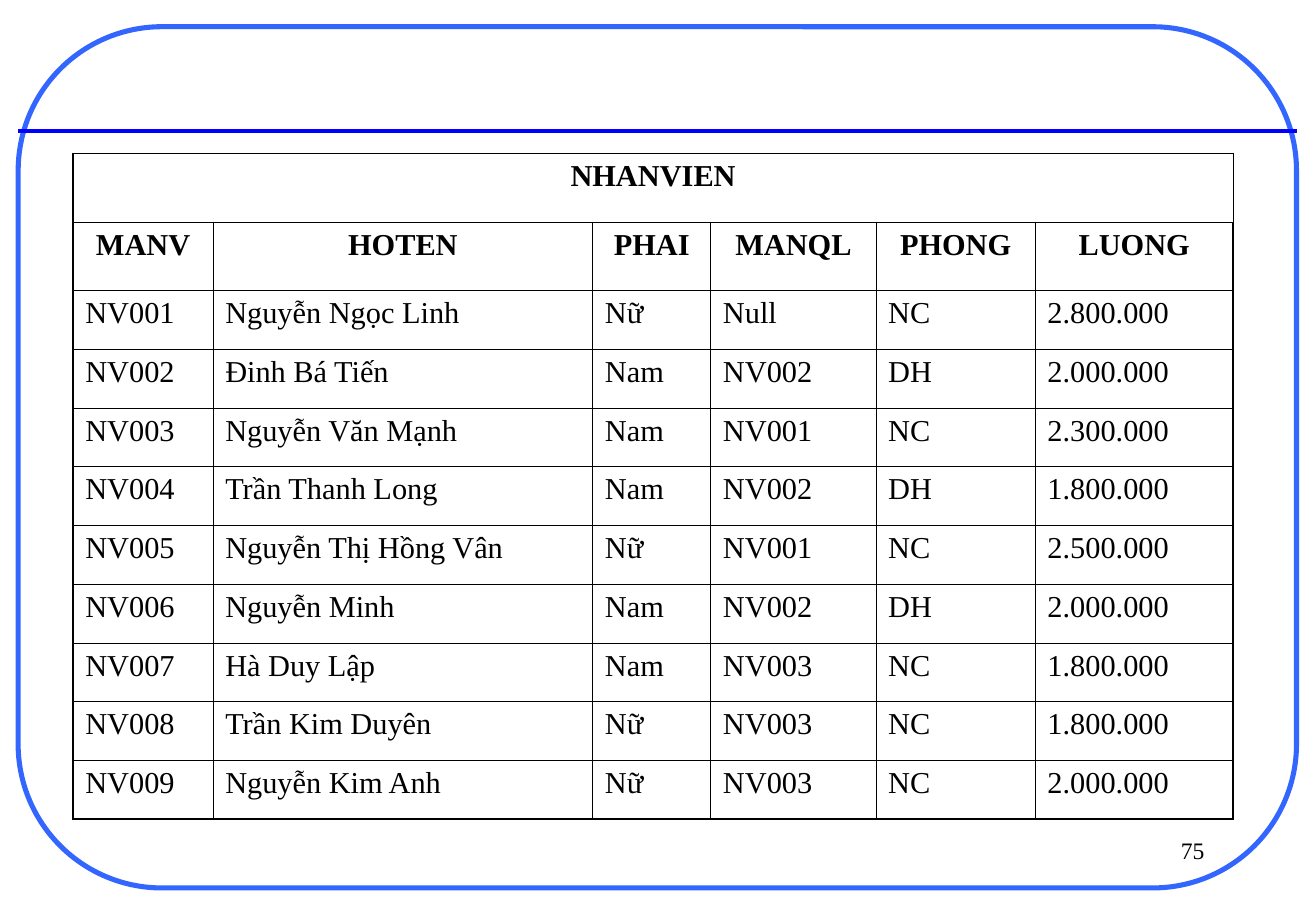
from dataclasses import dataclass

from lxml.etree import SubElement
from pptx import Presentation
from pptx.dml.color import RGBColor
from pptx.enum.shapes import MSO_CONNECTOR as Connector, MSO_SHAPE as Shape
from pptx.enum.text import MSO_ANCHOR as Anchor, PP_ALIGN as Align
from pptx.oxml.ns import qn
from pptx.util import Pt


@dataclass(frozen=True)
class Theme:
    font: str = "Times New Roman"
    text: str = "000000"
    frame: str = "3366FF"
    rule: str = "0000FF"
    table_size: float = 18
    number_size: float = 14
    outer_border: float = 1.08
    inner_border: float = 0.45


@dataclass(frozen=True)
class Box:
    left: float
    top: float
    width: float
    height: float

    def points(self):
        return [Pt(side) for side in (self.left, self.top, self.width, self.height)]


THEME = Theme()
SLIDE_WIDTH, SLIDE_HEIGHT = 780.48, 540
FRAME_BOX = Box(10.8, 15.84, 758.16, 510.48)
TABLE_BOX = Box(43.4, 90.9, 688, 394.85)
NUMBER_BOX = Box(558.72, 491.76, 162.72, 36)

TABLE_TITLE = "NHANVIEN"
COLUMN_WIDTHS = [83, 225.2, 70, 98, 94.5, 117.3]
HEADER_HEIGHT = 40.6
HEADERS = ["MANV", "HOTEN", "PHAI", "MANQL", "PHONG", "LUONG"]
EMPLOYEES = [
    ["NV001", "Nguyễn Ngọc Linh", "Nữ", "Null", "NC", "2.800.000"],
    ["NV002", "Đinh Bá Tiến", "Nam", "NV002", "DH", "2.000.000"],
    ["NV003", "Nguyễn Văn Mạnh", "Nam", "NV001", "NC", "2.300.000"],
    ["NV004", "Trần Thanh Long", "Nam", "NV002", "DH", "1.800.000"],
    ["NV005", "Nguyễn Thị Hồng Vân", "Nữ", "NV001", "NC", "2.500.000"],
    ["NV006", "Nguyễn Minh", "Nam", "NV002", "DH", "2.000.000"],
    ["NV007", "Hà Duy Lập", "Nam", "NV003", "NC", "1.800.000"],
    ["NV008", "Trần Kim Duyên", "Nữ", "NV003", "NC", "1.800.000"],
    ["NV009", "Nguyễn Kim Anh", "Nữ", "NV003", "NC", "2.000.000"],
]


def format_text(para, size, align, bold=False):
    para.alignment = align
    for span in para.runs:
        span.font.name = THEME.font
        span.font.size = Pt(size)
        span.font.bold = bold
        span.font.color.rgb = RGBColor.from_string(THEME.text)


def set_borders(cell, outer_sides):
    properties = cell._tc.get_or_add_tcPr()
    for side in "LRTB":
        width = THEME.outer_border if side in outer_sides else THEME.inner_border
        line = SubElement(properties, qn(f"a:ln{side}"), w=str(int(Pt(width))))
        fill = SubElement(line, qn("a:solidFill"))
        SubElement(fill, qn("a:srgbClr"), val=THEME.text)


def add_frame(page, box):
    # Rounded border
    border = page.shapes.add_shape(Shape.ROUNDED_RECTANGLE, *box.points())
    border.shadow.inherit = False
    border.adjustments[0] = 0.167
    border.fill.background()
    border.line.color.rgb = RGBColor.from_string(THEME.frame)
    border.line.width = Pt(3)

    # Rule below the heading area
    rule_top = Pt(box.top + 62)
    rule = page.shapes.add_connector(
        Connector.STRAIGHT, Pt(box.left), rule_top, Pt(box.left + box.width), rule_top)
    rule.line.color.rgb = RGBColor.from_string(THEME.rule)
    rule.line.width = Pt(2.25)
    SubElement(rule._element.spPr, qn("a:effectLst"))


def add_employee_table(page, box):
    rows = [[TABLE_TITLE] + [""] * (len(HEADERS) - 1), HEADERS] + EMPLOYEES
    last_row, last_column = len(rows) - 1, len(HEADERS) - 1
    table = page.shapes.add_table(len(rows), len(HEADERS), *box.points()).table
    table.first_row = table.horz_banding = False

    # Column widths and row heights
    for column, width in zip(table.columns, COLUMN_WIDTHS):
        column.width = Pt(width)
    body_height = (box.height - 2 * HEADER_HEIGHT) / len(EMPLOYEES)
    for index, row in enumerate(table.rows):
        row.height = Pt(HEADER_HEIGHT if index < 2 else body_height)
    table.cell(0, 0).merge(table.cell(0, last_column))

    # Cell text and borders
    for row_index, values in enumerate(rows):
        is_header = row_index < 2
        for column_index, value in enumerate(values):
            cell = table.cell(row_index, column_index)
            edges = {"L": column_index == 0, "R": column_index == last_column,
                     "T": row_index == 0, "B": row_index == last_row}
            set_borders(cell, [side for side, is_outer in edges.items() if is_outer])
            cell.fill.background()
            if value:
                cell.vertical_anchor = Anchor.TOP
                cell.text_frame.text = value
                format_text(cell.text_frame.paragraphs[0], THEME.table_size,
                            Align.CENTER if is_header else Align.LEFT, is_header)


def add_page_number(page, box, number):
    frame = page.shapes.add_textbox(*box.points()).text_frame
    frame.word_wrap = True
    frame.text = number
    format_text(frame.paragraphs[0], THEME.number_size, Align.RIGHT)


def main():
    deck = Presentation()
    deck.slide_width, deck.slide_height = Pt(SLIDE_WIDTH), Pt(SLIDE_HEIGHT)
    page = deck.slides.add_slide(deck.slide_layouts[6])
    add_frame(page, FRAME_BOX)
    add_page_number(page, NUMBER_BOX, "75")
    add_employee_table(page, TABLE_BOX)
    deck.save("out.pptx")


if __name__ == "__main__":
    main()
